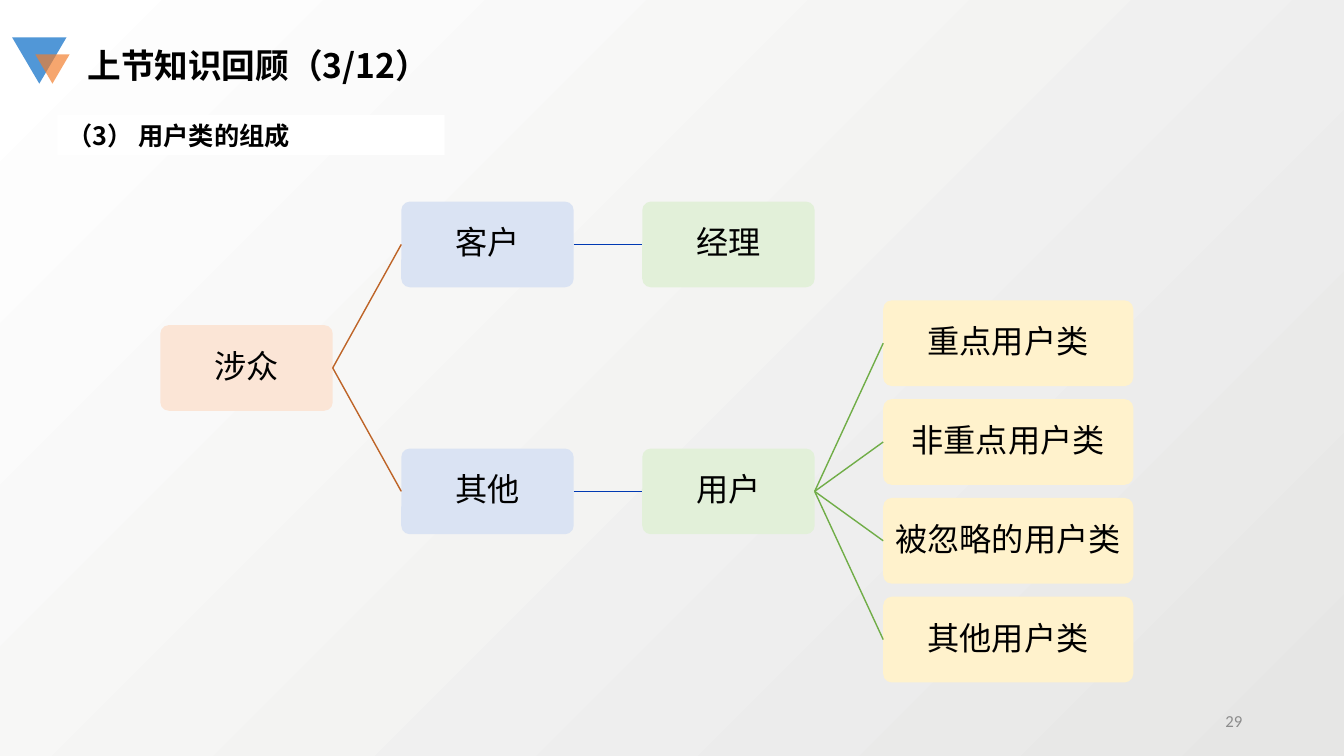
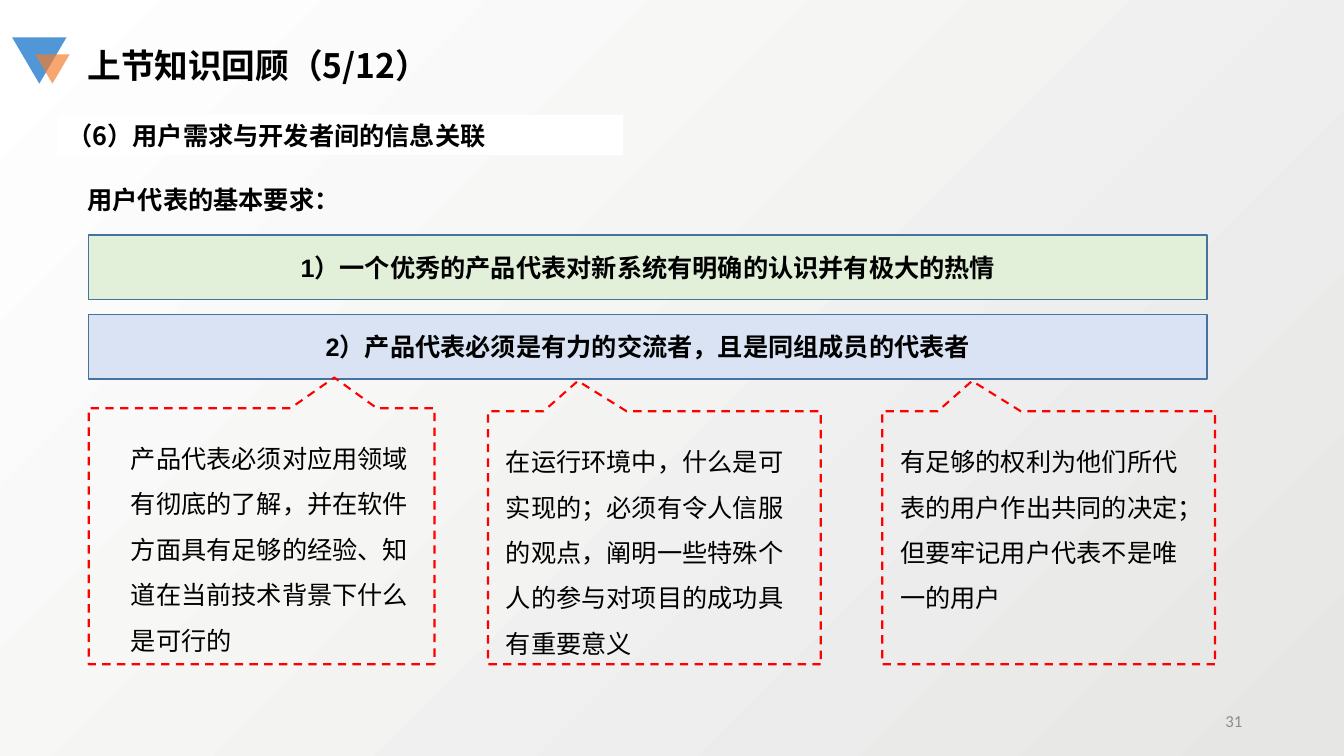
from dataclasses import dataclass

from lxml import etree
from pptx import Presentation
from pptx.dml.color import RGBColor
from pptx.enum.dml import MSO_LINE
from pptx.enum.shapes import MSO_CONNECTOR, MSO_SHAPE
from pptx.enum.text import MSO_ANCHOR, PP_ALIGN
from pptx.oxml.ns import qn
from pptx.util import Inches, Pt

TRIANGLE = MSO_SHAPE.ISOSCELES_TRIANGLE
RECTANGLE = MSO_SHAPE.RECTANGLE
ROUNDED = MSO_SHAPE.ROUNDED_RECTANGLE
CALLOUT = MSO_SHAPE.RECTANGULAR_CALLOUT
STRAIGHT = MSO_CONNECTOR.STRAIGHT
DASH = MSO_LINE.DASH
LEFT, CENTER, RIGHT = PP_ALIGN.LEFT, PP_ALIGN.CENTER, PP_ALIGN.RIGHT
TOP, MIDDLE = MSO_ANCHOR.TOP, MSO_ANCHOR.MIDDLE
TOP_SIDE, LEFT_SIDE, BOTTOM_SIDE, RIGHT_SIDE = range(4)


@dataclass(frozen=True)
class Theme:
    heading_font: str = "Noto Sans CJK SC"
    body_font: str = "Arial"
    label_font: str = "Calibri"
    title_size: int = 24
    node_size: int = 23
    body_size: int = 18
    number_size: int = 12
    black: str = "000000"
    white: str = "FFFFFF"
    shade: str = "E6E6E5"
    gray: str = "8C8C8C"
    mark_blue: str = "5197D7"
    mark_orange: str = "F37D2A"
    peach: str = "FBE5D6"
    pale_blue: str = "DAE3F3"
    pale_green: str = "E2F0D9"
    pale_yellow: str = "FFF2CC"
    bar_line: str = "43739E"
    red: str = "FF0000"
    branch_lines: tuple = ("BE6427", "0039B3", "70AD47")


THEME = Theme()
LEVEL_FILLS = (THEME.peach, THEME.pale_blue, THEME.pale_green, THEME.pale_yellow)
LEVEL_WIDTHS = (1.71, 1.71, 1.71, 2.48)


# Building blocks
def color(value):
    return RGBColor.from_string(value)


def add_shape(shapes, kind, box, fill=None, line=None, line_width=1):
    shape = shapes.add_shape(kind, *map(Inches, box))
    shape.shadow.inherit = False
    if fill:
        shape.fill.solid()
        shape.fill.fore_color.rgb = color(fill)
    else:
        shape.fill.background()
    if line:
        shape.line.color.rgb = color(line)
        shape.line.width = Pt(line_width)
    else:
        shape.line.fill.background()
    return shape


def write(shape, text, size, font, bold=False, ink=THEME.black, align=LEFT,
          anchor=TOP, spacing=None):
    frame = shape.text_frame
    frame.word_wrap = True
    frame.vertical_anchor = anchor
    para = frame.paragraphs[0]
    para.text = text
    para.alignment = align
    if spacing:
        para.line_spacing = spacing
    para.font.size = Pt(size)
    para.font.bold = bold
    para.font.name = font
    para.font.color.rgb = color(ink)
    # Chinese characters take the heading font everywhere
    defaults = para._p.pPr.find(qn("a:defRPr"))
    etree.SubElement(defaults, qn("a:ea")).set("typeface", THEME.heading_font)


def add_text(page, box, text, size, font, **style):
    write(page.shapes.add_textbox(*map(Inches, box)), text, size, font, **style)


# Shared page frame
def add_corner_mark(page, left, top):
    group = page.shapes.add_group_shape()
    for box, fill in (((left, top, 0.54, 0.46), THEME.mark_blue),
                      ((left + 0.23, top + 0.17, 0.34, 0.29), THEME.mark_orange)):
        triangle = add_shape(group.shapes, TRIANGLE, box, fill)
        triangle.rotation = 180
    tint = triangle._element.spPr.find(".//" + qn("a:srgbClr"))
    etree.SubElement(tint, qn("a:alpha")).set("val", "68000")


def add_page(deck, title, subtitle, subtitle_width, number):
    page = deck.slides.add_slide(deck.slide_layouts[6])
    fill = page.background.fill
    fill.gradient()
    fill.gradient_angle = 135
    for stop, tone in zip(fill.gradient_stops, (THEME.shade, THEME.white)):
        stop.color.rgb = color(tone)
    add_corner_mark(page, 0.12, 0.37)
    add_text(page, (9.42, 6.95, 3, 0.4), number, THEME.number_size,
             THEME.label_font, ink=THEME.gray, align=RIGHT, anchor=MIDDLE)
    add_text(page, (0.77, 0.4, 5.78, 0.5), title, THEME.title_size,
             THEME.heading_font, bold=True)
    band = add_shape(page.shapes, RECTANGLE, (0.57, 1.14, subtitle_width, 0.4),
                     THEME.white)
    write(band, subtitle, THEME.body_size, THEME.heading_font, bold=True)
    return page


# Tree of user classes
def join(page, parent, child, line):
    link = page.shapes.add_connector(STRAIGHT, 0, 0, 0, 0)
    link.begin_connect(parent, RIGHT_SIDE)
    link.end_connect(child, LEFT_SIDE)
    link.line.color.rgb = color(line)
    link.line.width = Pt(1)
    etree.SubElement(link._element.spPr, qn("a:effectLst"))


def add_tree(page, left, top, tree):
    """Leaves take successive rows; each parent is centred on its children."""
    height, row_pitch, column_pitch = 0.85, 0.98, 2.39
    leaf_count = 0

    def add_node(node, level):
        nonlocal leaf_count
        label, children = node
        placed = [add_node(child, level + 1) for child in children]
        if placed:
            row = (placed[0][1] + placed[-1][1]) / 2
        else:
            row = leaf_count
            leaf_count += 1
        box = (left + level * column_pitch, top + row * row_pitch,
               LEVEL_WIDTHS[level], height)
        shape = add_shape(page.shapes, ROUNDED, box, LEVEL_FILLS[level])
        shape.adjustments[0] = 0.1
        frame = shape.text_frame
        frame.margin_left = frame.margin_right = Inches(0.04)
        frame.margin_top = frame.margin_bottom = Inches(0.04)
        write(shape, label, THEME.node_size, THEME.label_font, align=CENTER,
              anchor=MIDDLE, spacing=0.9)
        for child, _ in placed:
            join(page, shape, child, THEME.branch_lines[level])
        return shape, row

    add_node(tree, 0)


# Requirement bars and callouts
def add_bars(page, left, top, bars):
    for index, (text, fill) in enumerate(bars):
        bar = add_shape(page.shapes, RECTANGLE,
                        (left, top + index * 0.79, 11.09, 0.64),
                        fill, THEME.bar_line)
        write(bar, text, THEME.body_size, THEME.body_font, bold=True,
              align=CENTER, anchor=MIDDLE)


def add_callout(page, box, pointer, text, indent, text_width):
    left, top, _, height = box
    callout = add_shape(page.shapes, CALLOUT, box, line=THEME.red, line_width=1.5)
    callout.line.dash_style = DASH
    callout.rotation = 180
    callout.adjustments[0], callout.adjustments[1] = pointer
    add_text(page, (left + indent, top + 0.15, text_width, height - 0.2), text,
             THEME.body_size, THEME.body_font, spacing=1.5)


# Slides
def build_tree_slide(deck):
    page = add_page(deck, "上节知识回顾（3/12）", "（3） 用户类的组成", 3.84, "29")
    leaves = [(name, []) for name in
              ("重点用户类", "非重点用户类", "被忽略的用户类", "其他用户类")]
    tree = ("涉众", [("客户", [("经理", [])]),
                   ("其他", [("用户", leaves)])])
    add_tree(page, 1.59, 2, tree)


def build_requirements_slide(deck):
    page = add_page(deck, "上节知识回顾（5/12）",
                    "（6）用户需求与开发者间的信息关联", 5.61, "31")
    add_text(page, (0.77, 1.78, 6.67, 0.4), "用户代表的基本要求：",
             THEME.body_size, THEME.heading_font, bold=True)
    add_bars(page, 0.88, 2.33, (
        ("1）一个优秀的产品代表对新系统有明确的认识并有极大的热情", THEME.pale_green),
        ("2）产品代表必须是有力的交流者，且是同组成员的代表者", THEME.pale_blue),
    ))
    right_pointer = (-0.21, 0.62)
    left_pointer = (0.23, 0.62)
    callouts = (
        ((0.88, 4.05, 3.43, 2.54), right_pointer,
         "产品代表必须对应用领域有彻底的了解，并在软件方面具有足够的经验、"
         "知道在当前技术背景下什么是可行的", 0.32, 3.11),
        ((4.84, 4.08, 3.3, 2.51), left_pointer,
         "在运行环境中，什么是可实现的；必须有令人信服的观点，"
         "阐明一些特殊个人的参与对项目的成功具有重要意义", 0.08, 3.14),
        ((8.75, 4.08, 3.3, 2.51), left_pointer,
         "有足够的权利为他们所代表的用户作出共同的决定；"
         "但要牢记用户代表不是唯一的用户", 0.08, 2.97),
    )
    for callout in callouts:
        add_callout(page, *callout)


def main():
    deck = Presentation()
    deck.slide_width = Inches(13.33)
    deck.slide_height = Inches(7.5)
    build_tree_slide(deck)
    build_requirements_slide(deck)
    deck.save("out.pptx")


if __name__ == "__main__":
    main()
